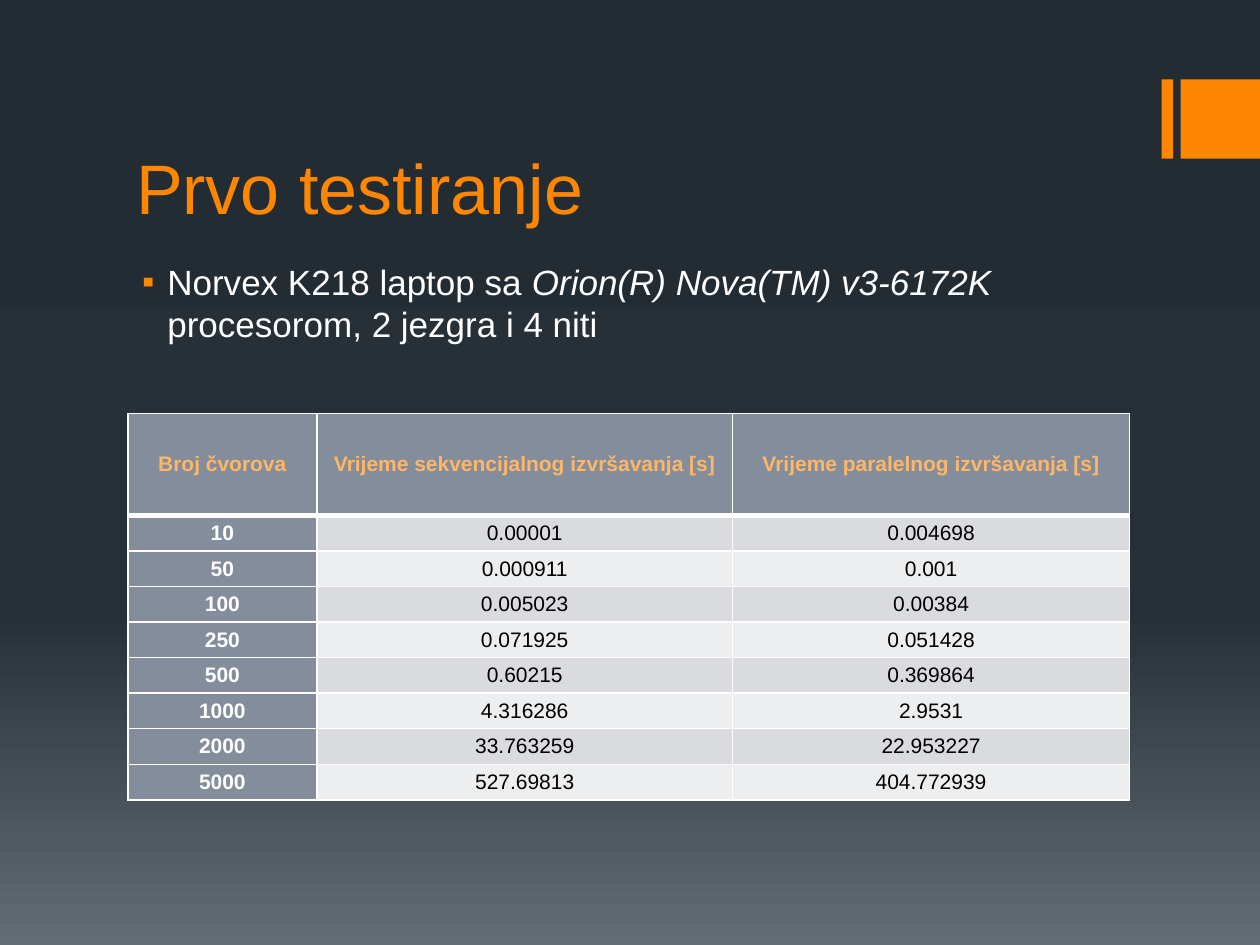
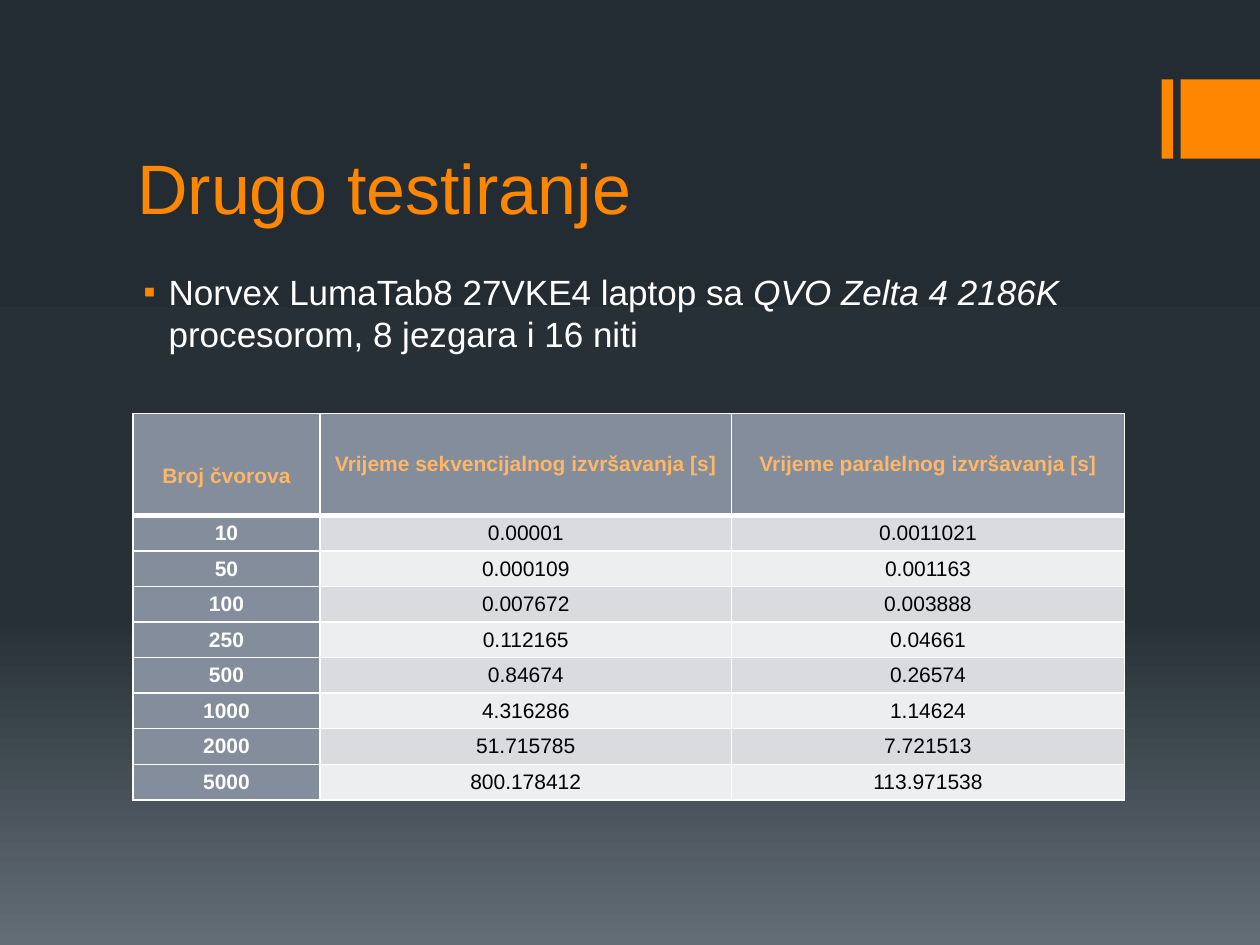
from pptx import Presentation
from pptx.dml.color import RGBColor
from pptx.enum.shapes import MSO_SHAPE as Kind
from pptx.enum.text import MSO_ANCHOR as Anchor, MSO_AUTO_SIZE as Fit, PP_ALIGN as Align
from pptx.oxml.ns import qn
from pptx.util import Inches, Pt
from lxml.etree import SubElement as Sub

# Shared look
WIDE, HIGH = 10, 7.5
UNIT = 0.63
ORANGE, WHITE, BLACK = "FF8600", "FFFFFF", "000000"
SLATE, PEACH = "838D9B", "FFB666"
BANDS = ["D9DBDE", "EDEEEF"]
FADE = [(0, "242C33"), (65, "273037"), (100, "636D76")]
TITLE = dict(size=Pt(40), color=ORANGE)
BODY = dict(size=Pt(20), color=WHITE)
HEAD = dict(size=Pt(12), color=PEACH, bold=True)
SIDE = dict(HEAD, color=WHITE)
CELL = dict(HEAD, color=BLACK, bold=False)

# Table grid
SHARES = [1.5, 3.3, 3.15]
TOP, TALL, FIRST = 3.28, 3.07, 0.81
HEADS = ["Broj čvorova", "Vrijeme sekvencijalnog izvršavanja [s]",
         "Vrijeme paralelnog izvršavanja [s]"]
NODES = ["10", "50", "100", "250", "500", "1000", "2000", "5000"]

PAGES = [
    dict(title="Prvo testiranje", left=0.98, top=2.02, width=7.95, drop=0,
         runs=["Norvex K218 laptop sa ", "Orion(R) Nova(TM) v3-6172K ",
               "procesorom, 2 jezgra i 4 niti"],
         serial=["0.00001", "0.000911", "0.005023", "0.071925", "0.60215",
                 "4.316286", "33.763259", "527.69813"],
         threads=["0.004698", "0.001", "0.00384", "0.051428", "0.369864",
                  "2.9531", "22.953227", "404.772939"]),
    dict(title="Drugo testiranje", left=0.99, top=2.1, width=7.87, drop=0.19,
         runs=["Norvex LumaTab8 27VKE4 laptop sa ", "QVO Zelta 4 2186K ",
               "procesorom, 8 jezgara i 16 niti"],
         serial=["0.00001", "0.000109", "0.007672", "0.112165", "0.84674",
                 "4.316286", "51.715785", "800.178412"],
         threads=["0.0011021", "0.001163", "0.003888", "0.04661", "0.26574",
                  "1.14624", "7.721513", "113.971538"]),
]


def paint(fill, tone):
    fill.solid()
    fill.fore_color.rgb = RGBColor.from_string(tone)


def write(par, text, look, **more):
    run = par.add_run()
    run.text = text
    run.font.name = "Arial"
    for key, val in {**look, **more}.items():
        if key == "color":
            run.font.color.rgb = RGBColor.from_string(val)
        else:
            setattr(run.font, key, val)


deck = Presentation()
deck.slide_width, deck.slide_height = Inches(WIDE), Inches(HIGH)

# Background gradient, set once on the master
master = deck.slide_master
back = master.background.fill
back.gradient()
back.gradient_angle = 270
stops = master.element.find(".//" + qn("a:gsLst"))
for stop in list(stops):
    stops.remove(stop)
for pos, tone in FADE:
    stop = Sub(stops, qn("a:gs"), pos=str(pos * 1000))
    Sub(stop, qn("a:srgbClr"), val=tone)

for page in PAGES:
    slide = deck.slides.add_slide(deck.slide_layouts[5])

    # Orange tag at the right edge
    for left, width in [(9.22, 0.09), (WIDE - UNIT, UNIT)]:
        tag = slide.shapes.add_shape(Kind.RECTANGLE, *map(Inches, (left, UNIT, width, UNIT)))
        tag.shadow.inherit = False
        tag.line.fill.background()
        paint(tag.fill, ORANGE)

    # Title
    title = slide.shapes.title
    spot = dict(left=page["left"], top=0.6, width=0.8 * WIDE, height=2 * UNIT)
    for key, val in spot.items():
        setattr(title, key, Inches(val))
    frame = title.text_frame
    frame.auto_size, frame.vertical_anchor = Fit.NONE, Anchor.BOTTOM
    par = frame.paragraphs[0]
    par.alignment = Align.LEFT
    write(par, page["title"], TITLE)

    # Bulleted line about the machine
    box = slide.shapes.add_textbox(*map(Inches, (page["left"], page["top"], 0.8 * WIDE, 1)))
    box.text_frame.word_wrap = True
    par = box.text_frame.paragraphs[0]
    par.space_before = Pt(4)
    prop = par._p.get_or_add_pPr()
    prop.set("marL", str(Inches(0.25)))
    prop.set("indent", str(Inches(-0.2)))
    Sub(Sub(prop, qn("a:buClr")), qn("a:srgbClr"), val=ORANGE)
    Sub(prop, qn("a:buFont"), typeface="Arial")
    Sub(prop, qn("a:buChar"), char="▪")
    for num, text in enumerate(page["runs"]):
        write(par, text, BODY, italic=num == 1)

    # Table of run times, centred across the slide
    rows = [HEADS, *zip(NODES, page["serial"], page["threads"])]
    width = page["width"]
    left = (WIDE - width) / 2 - 0.01
    grid = slide.shapes.add_table(len(rows), len(HEADS),
                                  *map(Inches, (left, TOP, width, TALL))).table
    for col, share in zip(grid.columns, SHARES):
        col.width = Inches(width * share / sum(SHARES))
    for r, row in enumerate(rows):
        grid.rows[r].height = Inches(FIRST if r == 0 else (TALL - FIRST) / len(NODES))
        for c, text in enumerate(row):
            cell = grid.cell(r, c)
            look = HEAD if r == 0 else SIDE if c == 0 else CELL
            drop = page["drop"] if r == c == 0 else 0
            form = dict(vertical_anchor=Anchor.MIDDLE, margin_left=Inches(0.07),
                        margin_right=Inches(0.07), margin_top=Inches(drop), margin_bottom=0)
            for key, val in form.items():
                setattr(cell, key, val)
            par = cell.text_frame.paragraphs[0]
            par.alignment = Align.CENTER
            write(par, text, look)

            # White borders, thicker under the header
            prop = cell._tc.get_or_add_tcPr()
            for side in "LRTB":
                thick = 3 if (r, side) in [(0, "B"), (1, "T")] else 1
                line = Sub(prop, qn("a:ln" + side), w=str(Pt(thick)))
                Sub(Sub(line, qn("a:solidFill")), qn("a:srgbClr"), val=WHITE)
            paint(cell.fill, SLATE if r == 0 or c == 0 else BANDS[(r - 1) % 2])

deck.save("out.pptx")
